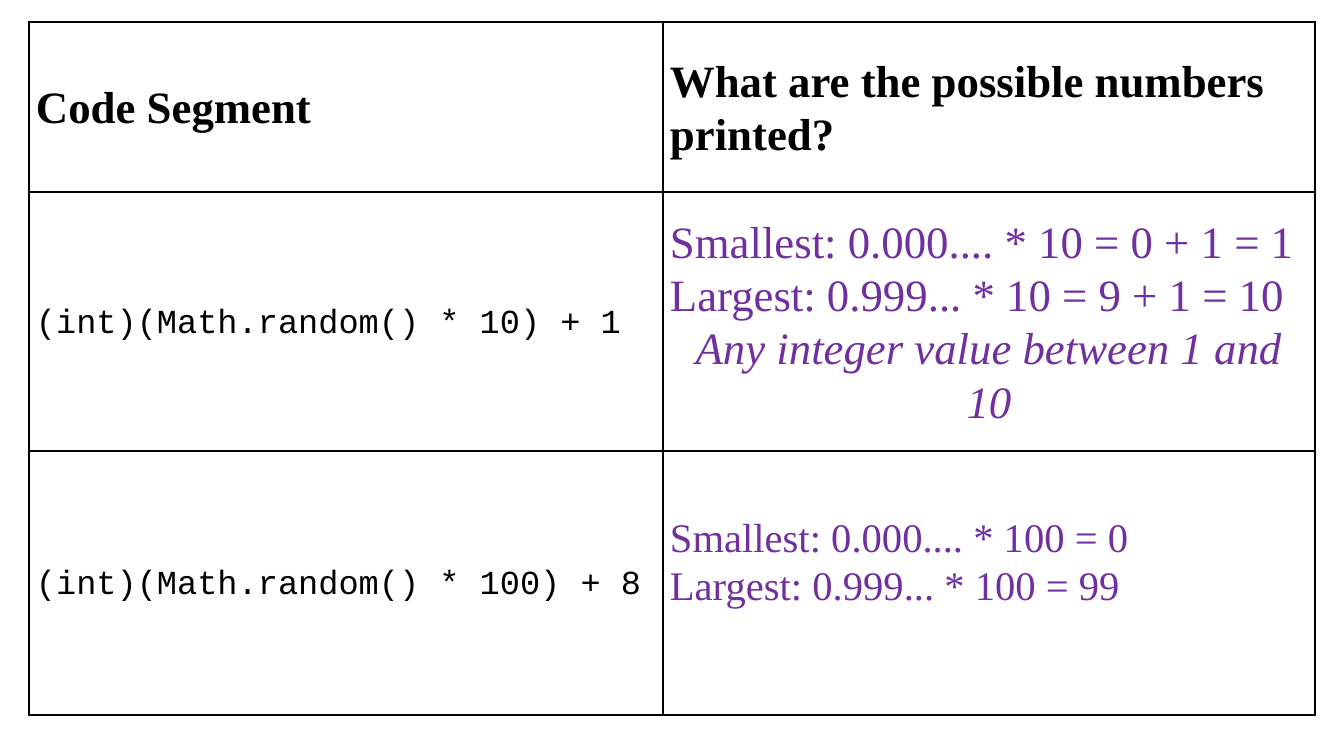
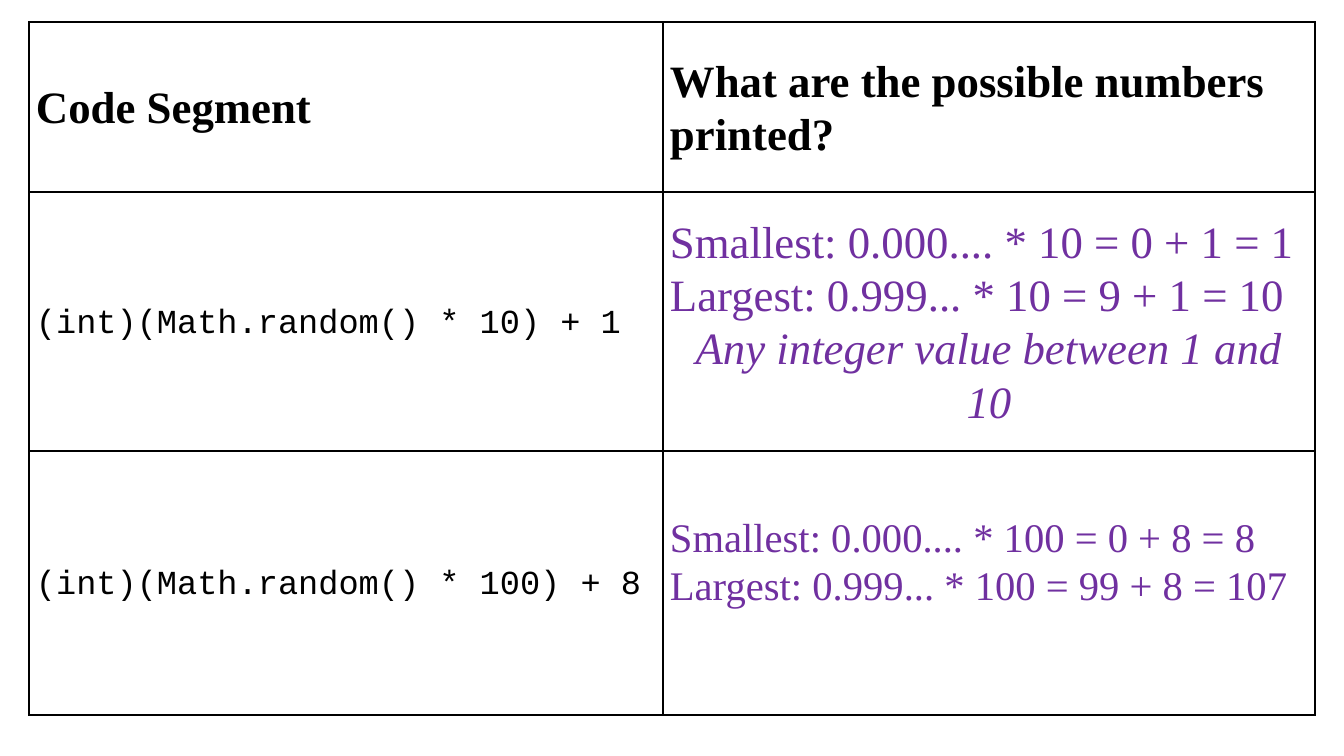
from lxml import etree
from pptx import Presentation
from pptx.dml.color import RGBColor
from pptx.enum.text import MSO_ANCHOR, PP_ALIGN
from pptx.oxml.ns import qn
from pptx.util import Pt

PX = 914400 / 100.8
MIDDLE, LEFT, CENTER = MSO_ANCHOR.MIDDLE, PP_ALIGN.LEFT, PP_ALIGN.CENTER
BLACK = RGBColor(0x00, 0x00, 0x00)
PURPLE = RGBColor(0x70, 0x30, 0xA0)
SERIF, MONO = "Times New Roman", "Courier New"

# Table geometry
TABLE_LEFT, TABLE_TOP = 29, 22
COL_WIDTHS = [634, 652]
ROW_HEIGHTS = [170, 259, 264]
CELL_PAD = 7
ANSWER_LIFT = 44

# Text styles: font, size, colour, bold, line spacing
HEADER = (SERIF, 32, BLACK, True, 1.07)
CODE = (MONO, 24, BLACK, False, 1.15)
ANSWER = (SERIF, 32, PURPLE, False, 1.07)
SMALL_ANSWER = (SERIF, 29, PURPLE, False, 1.07)

# Rows shared by both slides
HEADER_ROW = [(HEADER, ["Code Segment"]),
              (HEADER, ["What are the possible numbers printed?"])]
FIRST_ROW = [(CODE, ["(int)(Math.random() * 10) + 1"]),
             (ANSWER, ["Smallest: 0.000.... * 10 = 0 + 1 = 1",
                       "Largest: 0.999... * 10 = 9 + 1 = 10",
                       "Any integer value between 1 and 10"])]
SECOND_CODE = (CODE, ["(int)(Math.random() * 100) + 8"])

# Last answer on each slide
LAST_ANSWERS = [
    ["Smallest: 0.000.... * 100 = 0",
     "Largest: 0.999... * 100 = 99"],
    ["Smallest: 0.000.... * 100 = 0 + 8 = 8",
     "Largest: 0.999... * 100 = 99 + 8 = 107"],
]


def px(n):
    return round(n * PX)


def fill_cell(cell, style, lines):
    font, size, color, bold, spacing = style
    cell.fill.background()
    cell.vertical_anchor = MIDDLE
    cell.margin_left = cell.margin_right = px(CELL_PAD)
    cell.margin_top = 0
    cell.margin_bottom = px(ANSWER_LIFT) if style is SMALL_ANSWER else 0

    # Borders come before the fill in the cell properties
    tcPr = cell._tc.get_or_add_tcPr()
    for i, side in enumerate(("lnL", "lnR", "lnT", "lnB")):
        ln = etree.Element(qn("a:" + side), w=str(Pt(1)))
        solid = etree.SubElement(ln, qn("a:solidFill"))
        etree.SubElement(solid, qn("a:srgbClr"), val=str(BLACK))
        tcPr.insert(i, ln)

    # Text, with a third line as the centred conclusion
    tf = cell.text_frame
    tf.text = "\n".join(lines)
    for i, p in enumerate(tf.paragraphs):
        conclusion = i == 2
        p.alignment = CENTER if conclusion else LEFT
        p.line_spacing = spacing
        p.font.name = font
        p.font.size = Pt(size)
        p.font.bold = bold
        p.font.italic = conclusion
        p.font.color.rgb = color


prs = Presentation()
prs.slide_width, prs.slide_height = px(1344), px(756)

for last_answer in LAST_ANSWERS:
    s = prs.slides.add_slide(prs.slide_layouts[6])
    rows = [HEADER_ROW, FIRST_ROW, [SECOND_CODE, (SMALL_ANSWER, last_answer)]]
    table = s.shapes.add_table(
        len(rows), len(COL_WIDTHS), px(TABLE_LEFT), px(TABLE_TOP),
        px(sum(COL_WIDTHS)), px(sum(ROW_HEIGHTS))).table
    table.first_row = table.horz_banding = False
    for col, width in zip(table.columns, COL_WIDTHS):
        col.width = px(width)
    for row, height, contents in zip(table.rows, ROW_HEIGHTS, rows):
        row.height = px(height)
        for cell, (style, lines) in zip(row.cells, contents):
            fill_cell(cell, style, lines)

prs.save("out.pptx")
